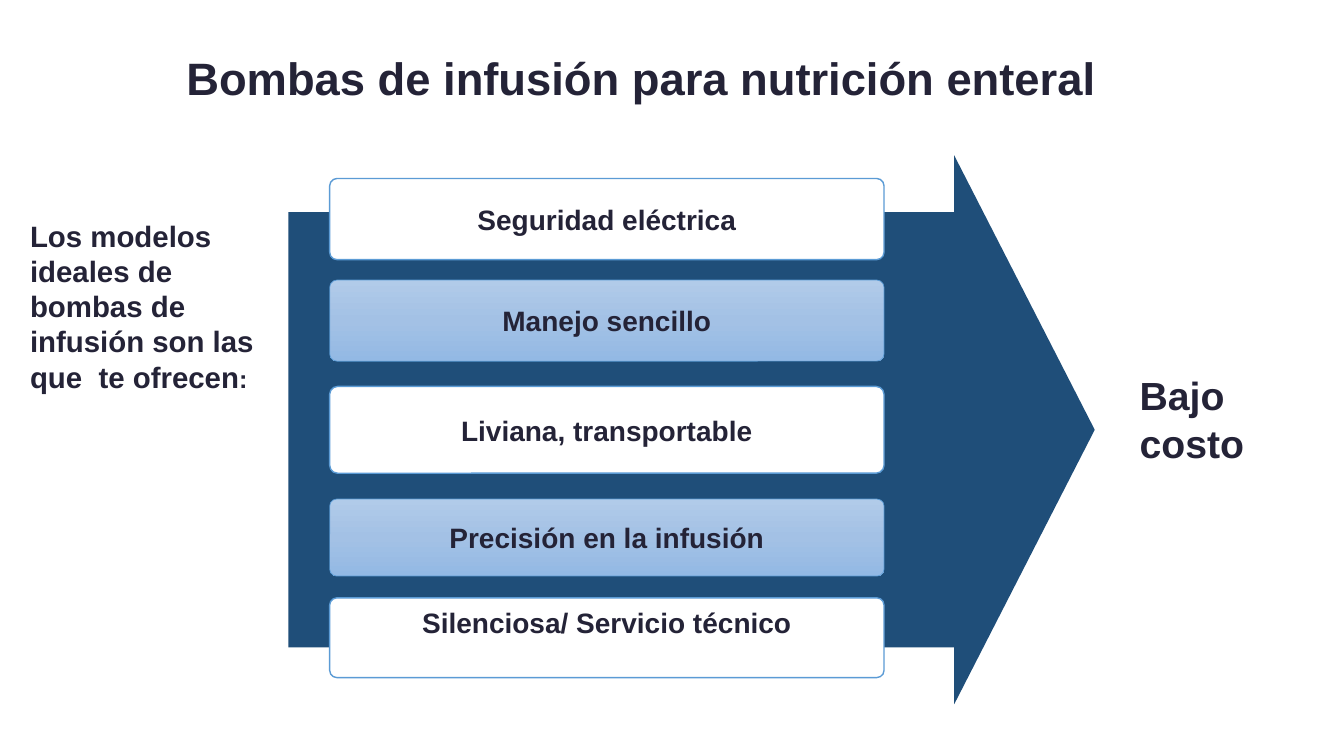
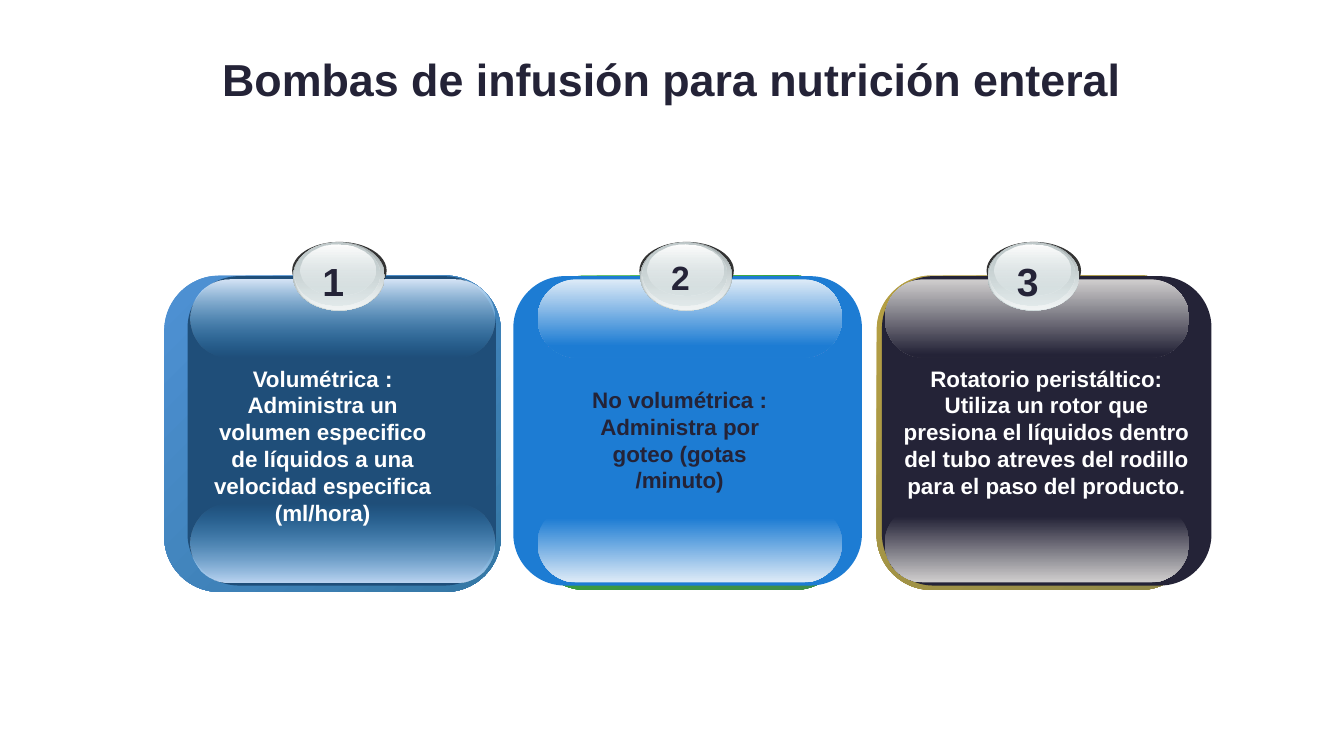
from lxml import etree
from pptx import Presentation
from pptx import util as u
from pptx.dml import color as dml_color
from pptx.enum import shapes, text
from pptx.oxml import ns

COLORS = {
    "ink": "242337", "white": "FFFFFF", "navy": "1F4E79", "blue": "1D7CD3",
    "outline": "5B9BD5", "bar_light": "B1CBE9", "bar_middle": "A3C1E5",
    "bar_dark": "93B9E4", "sky": "3CA1E6", "pale_sky": "BDD6F3",
    "ice": "D7E5F7", "pale_blue": "DEEBF7", "gray": "D0CECE",
    "edge_blue": "4E91D4", "edge_teal": "3477A4", "edge_green": "34B034",
    "edge_moss": "3F8B4A", "edge_gold": "B59F43", "edge_olive": "8F8849",
    "charcoal": "333333", "steel": "99A1A2", "silver": "D6E1E2",
    "pearl": "F2F5F5", "ash": "C1CBCC",
}
FONT = "Arial"
TITLE = "Bombas de infusión para nutrición enteral"
ROUND = shapes.MSO_SHAPE.ROUNDED_RECTANGLE
OVAL = shapes.MSO_SHAPE.OVAL
CENTER = text.PP_ALIGN.CENTER
LEFT = text.PP_ALIGN.LEFT
MIDDLE = text.MSO_ANCHOR.MIDDLE
TOP = text.MSO_ANCHOR.TOP

BAR_GRADIENT = [(0, "bar_light"), (50, "bar_middle"), (100, "bar_dark")]
BARS = [
    ("Seguridad eléctrica", 16.5, 58, 3.6),
    ("Manejo sencillo", 89, 58, 3.6),
    ("Liviana, transportable", 165, 62, 3.6),
    ("Precisión en la infusión", 245.5, 55, 3.6),
    ("Silenciosa/ Servicio técnico", 316, 57, 26),
]
BADGE_LAYERS = [
    ((0, 0, 67.5, 41), "charcoal"),
    ((0.7, 0, 65.5, 49), [(0, "steel"), (100, "silver")]),
    ((1.4, 0.7, 64, 47.5), [(0, "silver", 0), (100, "pearl")]),
    ((2, 0.7, 60.5, 44.6), [(0, "ash"), (100, "silver", 48)]),
    ((5.8, 2, 54, 36), [(0, "white"), (100, "silver", 38)]),
]
CARDS = [
    dict(number="1", number_size=28, ink="white", front="navy",
         edge=("edge_blue", "edge_teal"),
         back_box=(-18.7, 24, 240.5, 226), front_box=(-2, 24.5, 220.3, 221),
         upper=[(0, "ice"), (100, "sky", 0)],
         lower=[(0, "sky", 0), (100, "pale_sky")],
         body_box=(7, 84.2, 175, 124),
         body="Volumétrica :\nAdministra un volumen especifico de líquidos "
              "a una velocidad especifica (ml/hora)"),
    dict(number="2", number_size=24, ink="ink", front="blue",
         edge=("edge_green", "edge_moss"),
         back_box=(-5, 24, 227.5, 224.6), front_box=(-17.3, 24.5, 249, 221),
         upper=[(0, "pale_blue"), (85, "blue")],
         lower=[(18, "blue"), (100, "pale_blue")],
         body_box=(16, 99.3, 171, 85),
         body="No volumétrica :\nAdministra por goteo (gotas /minuto)"),
    dict(number="3", number_size=28, ink="white", front="ink",
         edge=("edge_gold", "edge_olive"),
         back_box=(-5.8, 24, 227.5, 224.6), front_box=(-2, 24.5, 235.4, 221),
         upper=[(0, "gray"), (96, "ink")],
         lower=[(16, "ink"), (100, "gray")],
         body_box=(2, 84.2, 227, 104),
         body="Rotatorio peristáltico:\nUtiliza un rotor que presiona el "
              "líquidos dentro del tubo atreves del rodillo para el paso "
              "del producto."),
]


def rgb(name):
    return dml_color.RGBColor.from_string(COLORS[name])


def points(box):
    return [u.Pt(length) for length in box]


def shift(box, left, top):
    return (box[0] + left, box[1] + top, box[2], box[3])


def add_run(paragraph, words, size, color):
    run = paragraph.add_run()
    run.text = words
    run.font.name = FONT
    run.font.size = u.Pt(size)
    run.font.bold = True
    run.font.color.rgb = rgb(color)


def write_text(shape, words, size=20, color="ink", align=CENTER,
               anchor=MIDDLE, wrap=True, bottom=3.6):
    frame = shape.text_frame
    frame.auto_size = text.MSO_AUTO_SIZE.NONE
    frame.word_wrap = wrap
    frame.vertical_anchor = anchor
    frame.margin_bottom = u.Pt(bottom)
    for index, line in enumerate(words.split("\n")):
        paragraph = frame.add_paragraph() if index else frame.paragraphs[0]
        paragraph.alignment = align
        add_run(paragraph, line, size, color)
    return frame


def fill_gradient(shape, stops, angle):
    shape.fill.gradient()
    shape.fill.gradient_angle = 360 - angle
    stop_list = shape.element.spPr.find(".//" + ns.qn("a:gsLst"))
    for stop in list(stop_list):
        stop_list.remove(stop)
    for position, name, *alpha in stops:
        stop = etree.SubElement(stop_list, ns.qn("a:gs"), pos=str(position * 1000))
        color = etree.SubElement(stop, ns.qn("a:srgbClr"), val=COLORS[name])
        for percent in alpha:
            etree.SubElement(color, ns.qn("a:alpha"), val=str(percent * 1000))


def add_figure(slide, kind, box, fill, adjustments=(), angle=90, line_width=0):
    shape = slide.shapes.add_shape(kind, *points(box))
    shape.shadow.inherit = False
    for index, value in enumerate(adjustments):
        shape.adjustments[index] = value
    if isinstance(fill, str):
        shape.fill.solid()
        shape.fill.fore_color.rgb = rgb(fill)
    else:
        fill_gradient(shape, fill, angle)
    if line_width:
        shape.line.color.rgb = rgb("outline")
        shape.line.width = u.Pt(line_width)
    else:
        shape.line.fill.background()
    return shape


def add_label(slide, box, words, **style):
    label = slide.shapes.add_textbox(*points(box))
    return write_text(label, words, anchor=TOP, **style)


def add_titled_slide(presentation, box, size, bottom):
    slide = presentation.slides.add_slide(presentation.slide_layouts[5])
    title = slide.shapes.title
    title.left, title.top, title.width, title.height = points(box)
    write_text(title, TITLE, size=size, bottom=bottom)
    return slide


def add_feature_arrow(slide, box):
    left, top = box[:2]
    add_figure(slide, shapes.MSO_SHAPE.RIGHT_ARROW, box, "navy", (0.793, 0.256))
    for index, (words, offset, height, bottom) in enumerate(BARS):
        shaded = index % 2
        bar = add_figure(slide, ROUND, (left + 29.5, top + offset, 396, height),
                         BAR_GRADIENT if shaded else "white", (0.091,),
                         line_width=0.5 if shaded else 1)
        write_text(bar, words, wrap=False, bottom=bottom)


def add_badge(slide, left, top, number, size):
    for box, fill in BADGE_LAYERS:
        add_figure(slide, OVAL, shift(box, left, top), fill)
    add_label(slide, (left + 14.4, top + 7.2, 30, 41), number, size=size, wrap=False)


def add_card(slide, left, top, card):
    start, end = card["edge"]
    add_figure(slide, ROUND, shift(card["back_box"], left, top),
               [(0, start), (100, end)], (0.175,), angle=45)
    add_figure(slide, ROUND, shift(card["front_box"], left, top),
               card["front"], (0.167,))
    for offset, gloss in ((187.2, card["lower"]), (26.7, card["upper"])):
        add_figure(slide, ROUND, (left, top + offset, 217.5, 56), gloss, (0.5,))
    add_badge(slide, left + 72.7, top, card["number"], card["number_size"])
    add_label(slide, shift(card["body_box"], left, top), card["body"],
              size=16, color=card["ink"])


def build_features_slide(presentation):
    slide = add_titled_slide(presentation, (-22, 23, 960, 61), 32.4, 0)
    add_feature_arrow(slide, (206, 111, 576, 392))
    add_label(slide, (807, 262, 114, 75), "Bajo\ncosto", size=28, align=LEFT)
    intro = add_label(
        slide, (14.4, 152, 180, 185),
        "Los modelos ideales de bombas de infusión son las que  te ofrecen",
        size=21, align=LEFT)
    add_run(intro.paragraphs[0], ":", 18, "ink")


def build_types_slide(presentation):
    slide = add_titled_slide(presentation, (66, 15, 828, 104), 32, 25)
    for index, card in enumerate(CARDS):
        add_card(slide, 136 + 248 * index, 172.8, card)


def main():
    presentation = Presentation()
    presentation.slide_width = u.Pt(960)
    presentation.slide_height = u.Pt(540)
    build_features_slide(presentation)
    build_types_slide(presentation)
    presentation.save("out.pptx")


if __name__ == "__main__":
    main()
